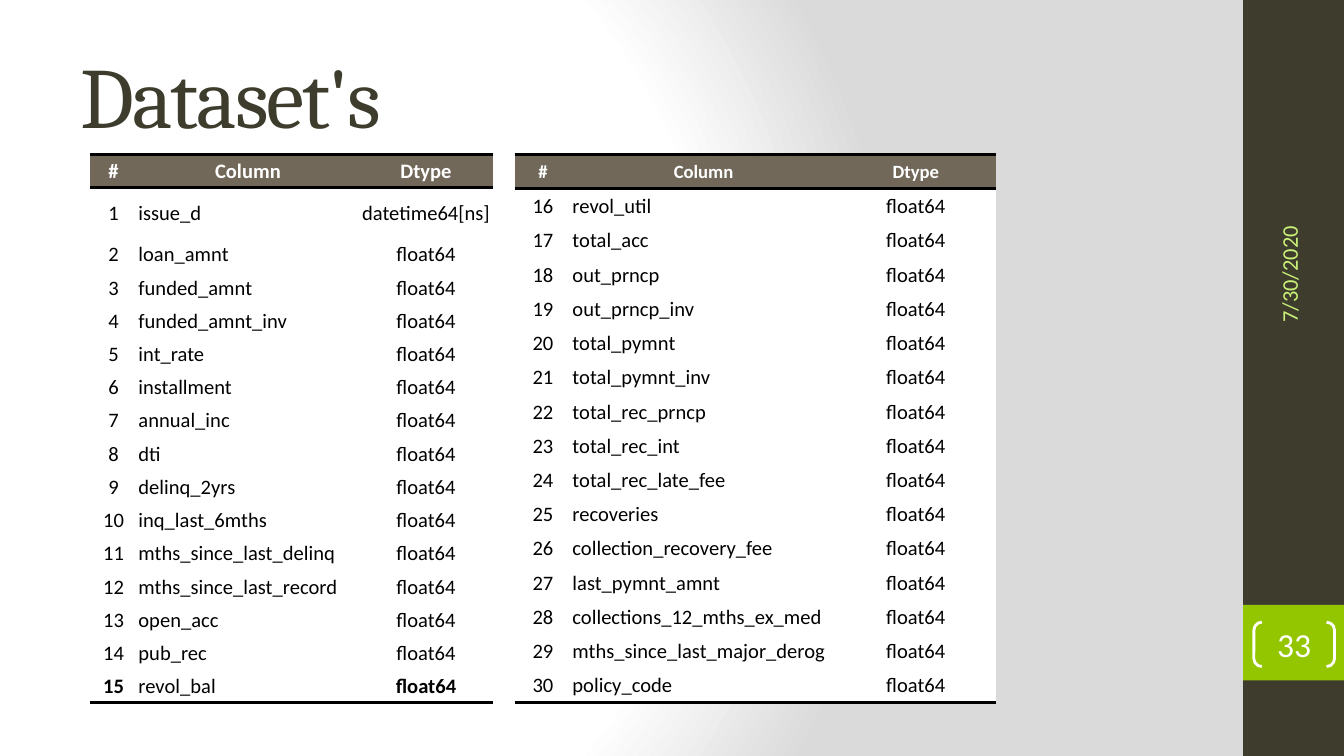
import dataclasses
import pptx
import pptx.dml.color
import pptx.enum.shapes
import pptx.enum.text
import pptx.oxml
import pptx.oxml.ns
import pptx.util

Inches = pptx.util.Inches
Shape = pptx.enum.shapes.MSO_SHAPE
Align = pptx.enum.text.PP_ALIGN
Middle = pptx.enum.text.MSO_ANCHOR.MIDDLE
qn = pptx.oxml.ns.qn


# Theme
@dataclasses.dataclass(frozen=True)
class Theme:
    head: str = "Cambria"
    body: str = "Calibri"
    dark: str = "3E3D2D"
    green: str = "94C600"
    lime: str = "CAF278"
    brown: str = "71685A"
    white: str = "FFFFFF"
    black: str = "000000"
    gray: str = "DADADA"
    title: float = 46
    page: float = 18
    date: float = 12
    cell: float = 11
    rule: float = 2


T = Theme()


@dataclasses.dataclass(frozen=True)
class Grid:
    left: float
    cols: tuple[float, ...]
    rows: list[float]
    first: int
    names: list[str]
    head: float
    kind: str = "float64"
    bold: bool = False


# Helpers
def color(code: str) -> pptx.dml.color.RGBColor:
    return pptx.dml.color.RGBColor.from_string(code)


def write(frame, text: str, *, size: float, ink: str, font: str = T.body,
          bold: bool = False, align=Align.LEFT, track: int = 0) -> None:
    para = frame.paragraphs[0]
    para.alignment = align
    run = para.add_run()
    run.text = text
    run.font.size = pptx.util.Pt(size)
    run.font.name = font
    run.font.bold = bold
    run.font.color.rgb = color(ink)
    if track:
        run.font._element.set("spc", str(track * 100))


def block(slide, kind, box: tuple[float, ...], fill: str = ""):
    shape = slide.shapes.add_shape(kind, *map(Inches, box))
    shape.shadow.inherit = False
    if fill:
        shape.fill.solid()
        shape.fill.fore_color.rgb = color(fill)
        shape.line.fill.background()
    else:
        shape.fill.background()
    return shape


def label(slide, box: tuple[float, ...], text: str, **style):
    shape = slide.shapes.add_textbox(*map(Inches, box))
    shape.text_frame.word_wrap = True
    shape.text_frame.vertical_anchor = Middle
    write(shape.text_frame, text, **style)
    return shape


def edge(cell, side: str) -> None:
    line = pptx.oxml.parse_xml(
        f'<a:{side} {pptx.oxml.ns.nsdecls("a")} w="{pptx.util.Pt(T.rule)}">'
        f'<a:solidFill><a:srgbClr val="{T.black}"/></a:solidFill></a:{side}>')
    cell._tc.get_or_add_tcPr().insert(0, line)


def table(slide, grid: Grid) -> None:
    data = [("#", "Column", "Dtype")]
    data += [(str(n), name, "datetime64[ns]" if name == "issue_d" else grid.kind)
             for n, name in enumerate(grid.names, grid.first)]
    frame = slide.shapes.add_table(
        len(data), 3, Inches(grid.left), Inches(1.15),
        Inches(sum(grid.cols)), Inches(sum(grid.rows)))
    tab = frame.table
    tab.first_row = tab.horz_banding = False
    # Plain style without grid lines
    style = tab._tbl.tblPr.find(qn("a:tableStyleId"))
    style.text = "{2D5ABB26-0587-4C30-8999-92F81FD0307C}"
    for col, width in zip(tab.columns, grid.cols):
        col.width = Inches(width)
    for row, height in zip(tab.rows, grid.rows):
        row.height = Inches(height)

    for r, texts in enumerate(data):
        top, last = r == 0, r == len(data) - 1
        for c, text in enumerate(texts):
            cell = tab.cell(r, c)
            cell.margin_left = cell.margin_right = cell.margin_top = Inches(0.01)
            cell.margin_bottom = 0
            cell.vertical_anchor = Middle
            cell.fill.solid()
            cell.fill.fore_color.rgb = color(T.brown if top else T.white)
            write(cell.text_frame, text,
                  size=grid.head if top else T.cell,
                  ink=T.white if top else T.black,
                  bold=top or (last and grid.bold and c != 1),
                  align=Align.LEFT if c == 1 and not top else Align.CENTER)
            if top or last:
                edge(cell, "lnB")
            if top:
                edge(cell, "lnT")


def backdrop(slide) -> None:
    slide.background.fill.solid()
    props = slide.element.find(".//" + qn("p:bgPr"))
    stops = "".join(
        f'<a:gs pos="{pos * 1000}"><a:srgbClr val="{code}"/></a:gs>'
        for pos, code in ((0, T.white), (75, T.white), (100, T.gray)))
    props.replace(props[0], pptx.oxml.parse_xml(
        f'<a:gradFill {pptx.oxml.ns.nsdecls("a")} rotWithShape="1">'
        f'<a:gsLst>{stops}</a:gsLst><a:path path="circle">'
        '<a:fillToRect l="20000" t="50000" r="100000" b="50000"/>'
        '</a:path></a:gradFill>'))


# Slide and side bar, 16:9
WIDE = 10
HIGH = WIDE * 9 / 16
deck = pptx.Presentation()
deck.slide_width, deck.slide_height = Inches(WIDE), Inches(HIGH)
slide = deck.slides.add_slide(deck.slide_layouts[6])
backdrop(slide)
block(slide, Shape.RECTANGLE, (9.25, 0, 0.75, HIGH), T.dark)
block(slide, Shape.RECTANGLE, (9.25, 4.5, 0.75, HIGH / 10), T.green)

# Title, date and page number
label(slide, (0.5, 0.23, 8.33, 0.94), "Dataset's",
      size=T.title, ink=T.dark, font=T.head, track=-1)
date = label(slide, (8.59, 1.3, 2, 0.4), "7/30/2020", size=T.date, ink=T.lime)
date.rotation = 270

page = block(slide, Shape.DOUBLE_BRACKET, (9.33, 4.63, 0.6, 0.33))
page.adjustments[0] = 0.18
page.line.color.rgb = color(T.white)
page.line.width = pptx.util.Pt(1.5)
text = page.text_frame
text.margin_left = text.margin_right = text.margin_top = text.margin_bottom = 0
text.vertical_anchor = Middle
write(text, "33", size=T.page, ink=T.white, align=Align.CENTER)

# Column tables
TALL = 4.08
early = """issue_d loan_amnt funded_amnt funded_amnt_inv int_rate installment
    annual_inc dti delinq_2yrs inq_last_6mths mths_since_last_delinq
    mths_since_last_record open_acc pub_rec revol_bal""".split()
late = """revol_util total_acc out_prncp out_prncp_inv total_pymnt
    total_pymnt_inv total_rec_prncp total_rec_int total_rec_late_fee recoveries
    collection_recovery_fee last_pymnt_amnt collections_12_mths_ex_med
    mths_since_last_major_derog policy_code""".split()
step = (TALL - 0.37) / 15
for grid in (
    Grid(0.67, (0.35, 1.65, 1), [step, 0.37] + [step] * 14, 1, early, 11, bold=True),
    Grid(3.83, (0.42, 1.97, 1.19), [TALL / 16] * 16, 16, late, 10),
):
    table(slide, grid)

deck.save("out.pptx")
